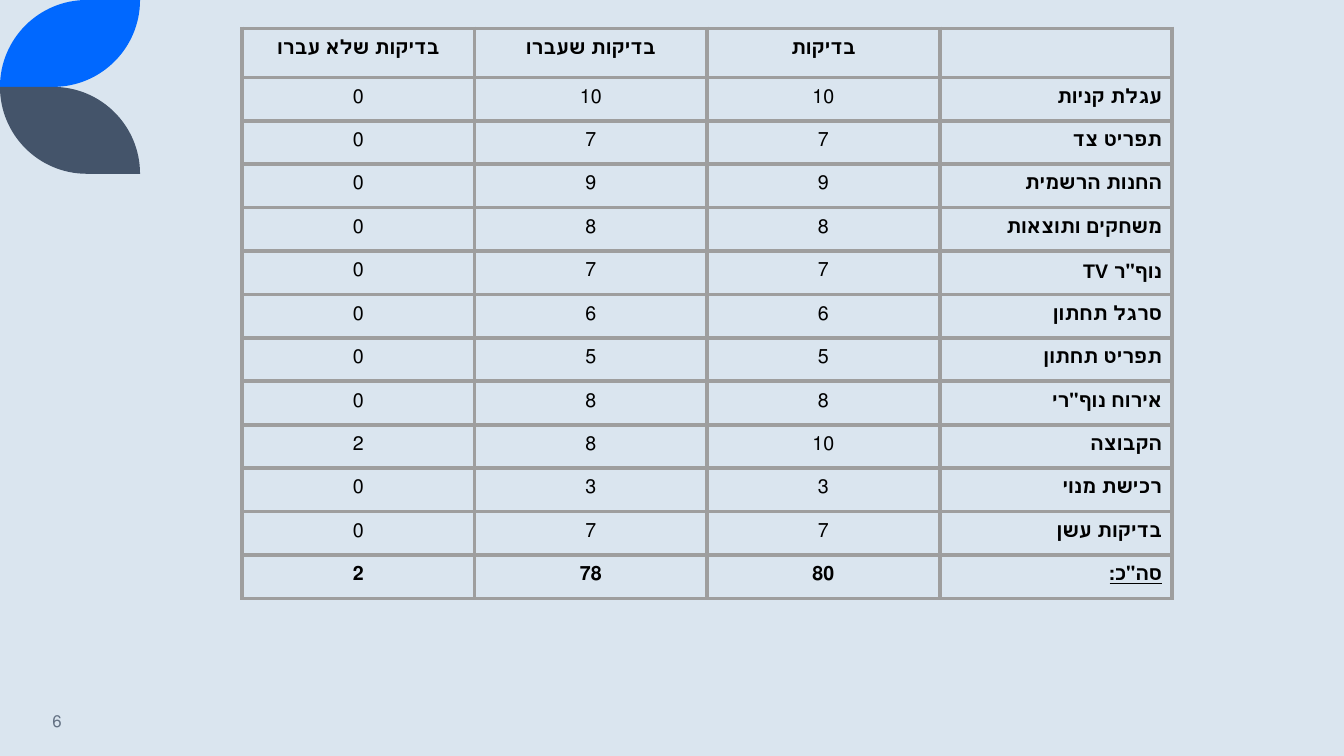
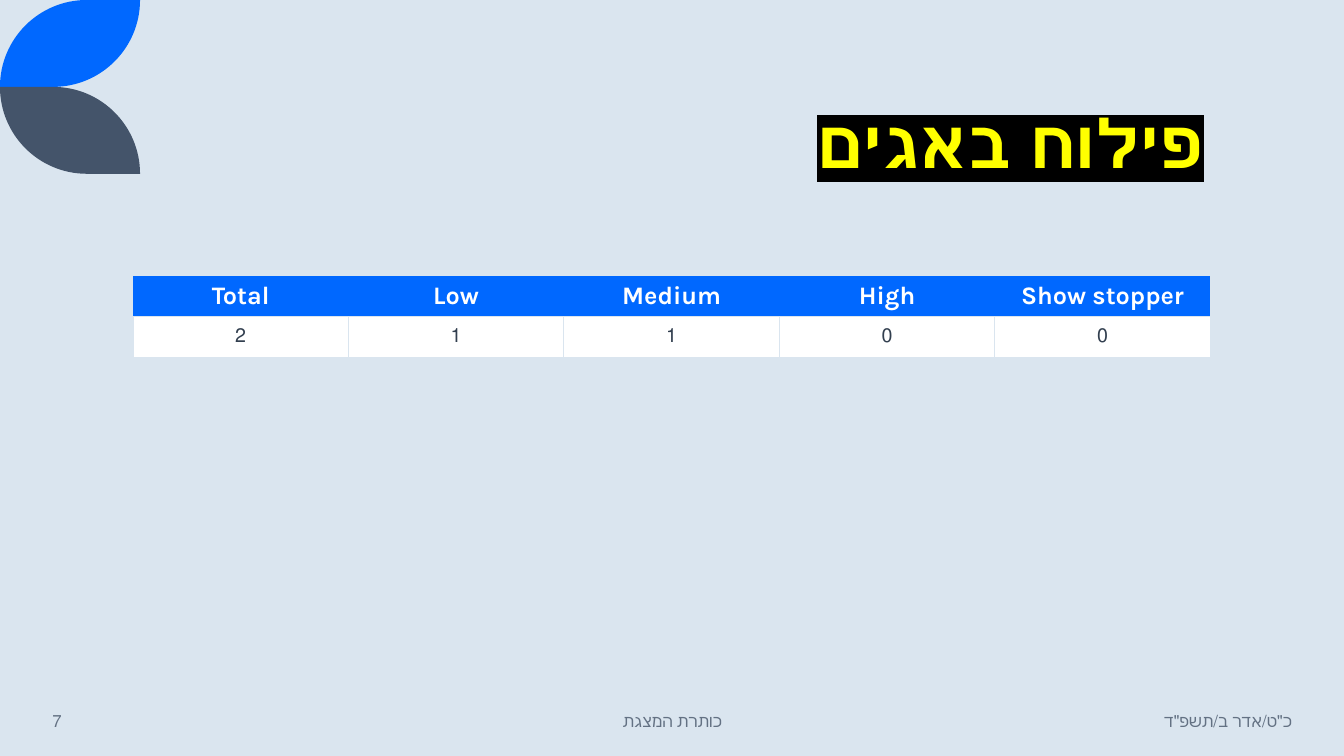
"""Build two slides of test results: checks per area and bugs by severity."""
from lxml import etree
from pptx import Presentation
from pptx import util as u
from pptx.dml import color
from pptx.enum import text
from pptx.oxml import ns

BLUE, SLATE, PALE, GREY = "0068FF", "44546A", "DAE5EF", "637183"
INK, DARK, WHITE, RULE = "000000", "323F4F", "FFFFFF", "9E9E9E"
LEFT, MID, RIGHT = text.PP_ALIGN.LEFT, text.PP_ALIGN.CENTER, text.PP_ALIGN.RIGHT
PLAIN = "{2D5ABB26-0587-4C30-8999-92F81FD0307C}"


def paint(item, tone):
    """Give a fill a solid colour."""
    item.solid()
    item.fore_color.rgb = color.RGBColor.from_string(tone)


def write(frame, words, size, tone, side, bold=False, face="Karla", rtl=True):
    """Add one run to the first paragraph and return it."""
    para = frame.paragraphs[0]
    para.alignment = side
    para._p.get_or_add_pPr().set("rtl", str(int(rtl)))
    run = para.add_run()
    run.text = words
    run.font.size, run.font.bold, run.font.name = u.Pt(size), bold, face
    paint(run.font.fill, tone)
    return run


prs = Presentation()
prs.slide_width, prs.slide_height = u.Cm(33.87), u.Cm(19.05)
paint(prs.slide_master.background.fill, PALE)

RAD, WIDE, PULL = 2.19, 3.53, 0.98
leaf = [(RAD, 0), (PULL, 0), (0, PULL), (0, RAD), (WIDE - RAD, RAD),
        (WIDE - PULL, RAD), (WIDE, RAD - PULL), (WIDE, 0)]

date = ('כ"ט/אדר ב/תשפ"ד', 28.09, 4.72, RIGHT)
name = ("כותרת המצגת", 11.23, 11.43, MID)
feet = [[("6", 1.07, 4.6, LEFT)], [date, name, ("7", 1.07, 4.6, LEFT)]]

slides = []
for notes in feet:
    slide = prs.slides.add_slide(prs.slide_layouts[6])
    slides.append(slide)
    for tone, flip in ((BLUE, False), (SLATE, True)):
        dots = [(u.Cm(x), u.Cm(2 * RAD - y if flip else y)) for x, y in leaf]
        pen = slide.shapes.build_freeform(*dots[0])
        pen.add_line_segments(dots[1:], close=True)
        shape = pen.convert_to_shape()
        shape.shadow.inherit = False
        paint(shape.fill, tone)
        shape.line.fill.background()
        legs = list(shape._element.iter(ns.qn("a:lnTo")))
        for first in (0, 4):
            curve = etree.Element(ns.qn("a:cubicBezTo"))
            legs[first].addprevious(curve)
            for leg in legs[first:first + 3]:
                curve.append(leg[0])
                leg.getparent().remove(leg)
    for words, left, width, side in notes:
        box = slide.shapes.add_textbox(u.Cm(left), u.Cm(17.65), u.Cm(width), u.Cm(1.02))
        box.text_frame.word_wrap = True
        box.text_frame.vertical_anchor = text.MSO_ANCHOR.MIDDLE
        write(box.text_frame, words, 12, GREY, side)

box = slides[1].shapes.add_textbox(u.Cm(3.45), u.Cm(1.07), u.Cm(27.15), u.Cm(3.68))
box.text_frame.word_wrap = True
box.text_frame.vertical_anchor = text.MSO_ANCHOR.BOTTOM
box.text_frame.paragraphs[0].line_spacing = 0.9
run = write(box.text_frame, "פילוח באגים", 48, "FFFF00", RIGHT, True)
glow = etree.Element(ns.qn("a:highlight"))
etree.SubElement(glow, ns.qn("a:srgbClr"), val=INK)
run._r.rPr.find(ns.qn("a:latin")).addprevious(glow)

areas = [
    ("עגלת קניות", 10, 10), ("תפריט צד", 7, 7), ("החנות הרשמית", 9, 9),
    ("משחקים ותוצאות", 8, 8), ('נוף"ר TV', 7, 7), ("סרגל תחתון", 6, 6),
    ("תפריט תחתון", 5, 5), ('אירוח נוף"רי', 8, 8), ("הקבוצה", 10, 8),
    ("רכישת מנוי", 3, 3), ("בדיקות עשן", 7, 7),
]
total = ('סה"כ:', sum(a[1] for a in areas), sum(a[2] for a in areas))
tests = [("בדיקות שלא עברו", "בדיקות שעברו", "בדיקות", "")]
tests += [(str(runs - good), str(good), str(runs), area)
          for area, runs, good in areas + [total]]
bugs = [("Total", "Low", "Medium", "High", "Show stopper"), ("2", "1", "1", "0", "0")]

grids = []
for slide, rows, left, top, wide, tall in (
        (slides[0], tests, 6.1, 0.72, 5.86, 1.08),
        (slides[1], bugs, 3.35, 6.96, 5.43, 1.02)):
    cols = len(rows[0])
    grid = slide.shapes.add_table(len(rows), cols, u.Cm(left), u.Cm(top),
                                  u.Cm(wide * cols), u.Cm(tall * len(rows))).table
    grid.first_row = grid.horz_banding = False
    grid._tbl.tblPr.find(ns.qn("a:tableStyleId")).text = PLAIN
    for col in grid.columns:
        col.width = u.Cm(wide)
    for row in grid.rows:
        row.height = u.Cm(tall)
    grids.append(grid)
grids[0].rows[0].height = u.Cm(1.23)

for r, row in enumerate(tests):
    for c, words in enumerate(row):
        cell = grids[0].cell(r, c)
        cell.fill.background()
        if words:
            cell.margin_top = cell.margin_bottom = u.Cm(0.25)
            edge = c == 3 or r in (0, len(tests) - 1)
            run = write(cell.text_frame, words, 14, INK, RIGHT if c == 3 else MID,
                        edge, "Arial")
            run.font.underline = True if words == total[0] else None

for r, row in enumerate(bugs):
    tone, ink, size = ((BLUE, WHITE, 18), (WHITE, DARK, 14))[r]
    for c, words in enumerate(row):
        cell = grids[1].cell(r, c)
        paint(cell.fill, tone)
        cell.vertical_anchor = text.MSO_ANCHOR.MIDDLE
        write(cell.text_frame, words, size, ink, MID, r == 0, rtl=r > 0)

for grid, tone, thick in ((grids[0], RULE, 3), (grids[1], PALE, 1)):
    for r, row in enumerate(grid.rows):
        sides = "B" if grid is grids[1] and r == 0 else "LRTB"
        for cell in row.cells:
            props = cell._tc.get_or_add_tcPr()
            for i, side in enumerate(sides):
                line = etree.Element(ns.qn("a:ln" + side), w=str(u.Pt(thick)))
                fill = etree.SubElement(line, ns.qn("a:solidFill"))
                etree.SubElement(fill, ns.qn("a:srgbClr"), val=tone)
                props.insert(i, line)

prs.save("out.pptx")
